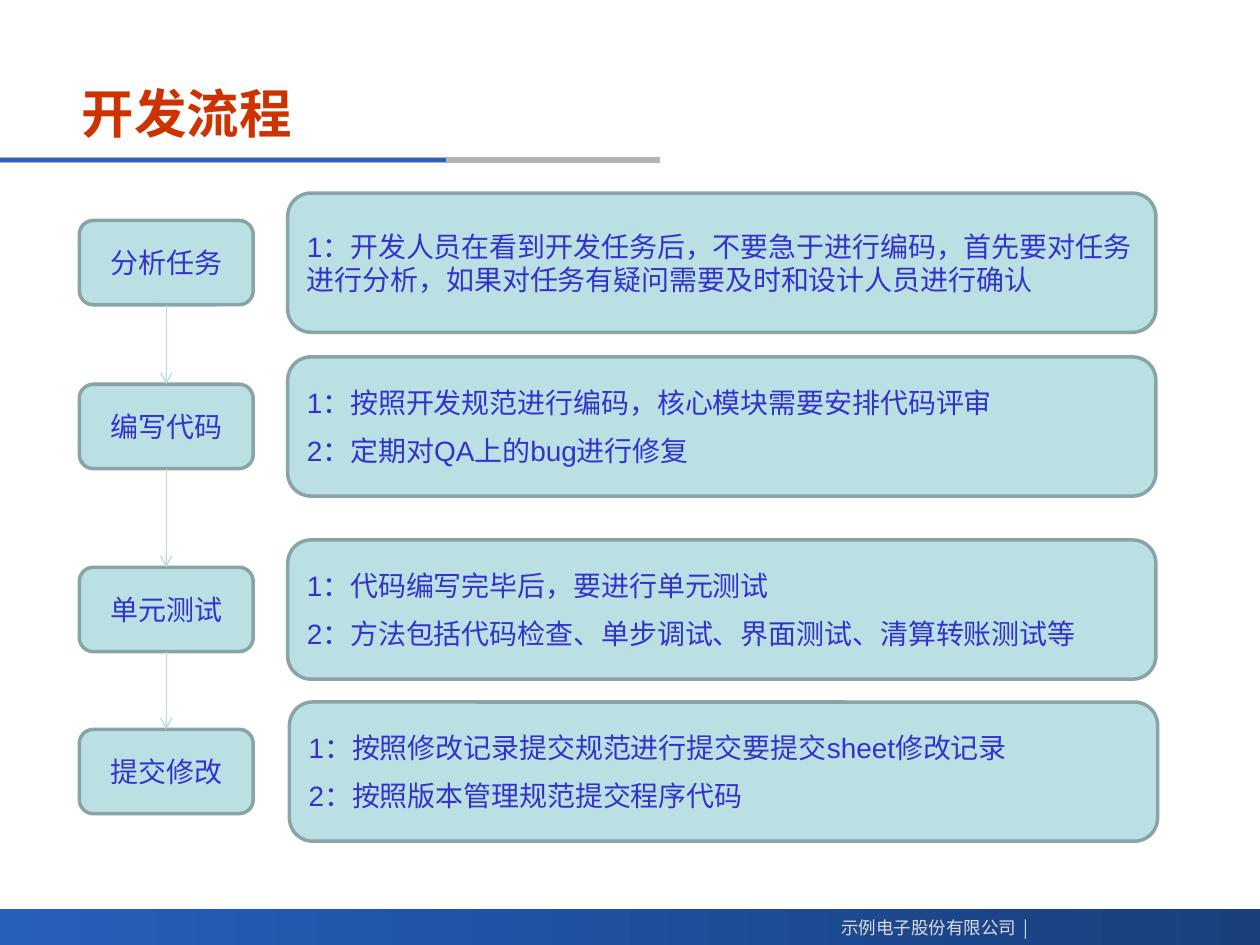
from pptx import Presentation
from pptx.dml.color import RGBColor as RGB
from pptx.enum.shapes import MSO_CONNECTOR as Connector, MSO_SHAPE as Shape
from pptx.enum.text import MSO_ANCHOR as Anchor, PP_ALIGN as Align
from pptx.oxml.ns import qn
from pptx.util import Pt
from lxml.etree import SubElement

THEME = {
    "title": RGB.from_string("CC3300"), "text": RGB.from_string("3333CC"),
    "box": RGB.from_string("BBE0E3"), "border": RGB.from_string("89A4A7"),
    "arrow": RGB.from_string("B6DCDF"), "rule_gray": RGB.from_string("B2B2B2"),
    "rule_blue": RGB.from_string("2A60C0"), "footer_text": RGB.from_string("DDDDDD"),
    "footer_bar": (RGB.from_string("265FBC"), RGB.from_string("193F7D")),
    "title_size": 30, "text_size": 16, "footer_size": 10,
    "font": "Arial", "chinese_font": "Noto Sans CJK SC",
}


def write_text(shape, lines, size, color, align=Align.LEFT, gap=0, bold=False,
               font=THEME["font"], wrap=True):
    """Fill a shape with one formatted paragraph per line."""
    frame = shape.text_frame
    frame.text = "\n".join(lines)
    frame_format = {"word_wrap": wrap, "vertical_anchor": Anchor.MIDDLE,
                    "margin_left": Pt(7.2), "margin_right": Pt(7.2),
                    "margin_top": Pt(3.6), "margin_bottom": Pt(3.6)}
    for name, value in frame_format.items():
        setattr(frame, name, value)
    for paragraph in frame.paragraphs:
        paragraph_format = {"alignment": align, "space_before": Pt(gap), "space_after": Pt(gap)}
        for name, value in paragraph_format.items():
            setattr(paragraph, name, value)
        for run in paragraph.runs:
            for name, value in {"size": Pt(size), "bold": bold, "name": font}.items():
                setattr(run.font, name, value)
            run.font.color.rgb = color
            east_asian = SubElement(run.font._element, qn("a:ea"))
            east_asian.set("typeface", THEME["chinese_font"])


def add_line(start, end, color, width, arrow=False):
    """Draw a straight line between two points, with an optional arrowhead."""
    line = slide.shapes.add_connector(Connector.STRAIGHT, *map(Pt, start + end))
    line.line.color.rgb = color
    line.line.width = Pt(width)
    if arrow:
        SubElement(line.line._get_or_add_ln(), qn("a:tailEnd")).set("type", "arrow")
    SubElement(line._element.spPr, qn("a:effectLst"))


presentation = Presentation()
presentation.slide_width, presentation.slide_height = Pt(720), Pt(540)
slide = presentation.slides.add_slide(presentation.slide_layouts[5])

# Title and the two-tone rule below it
title = slide.shapes.title
title.left, title.top, title.width, title.height = map(Pt, (39.6, 40.3, 498.2, 48.2))
write_text(title, ["开发流程"], THEME["title_size"], THEME["title"], bold=True)
add_line((0, 91.4), (377.3, 91.4), THEME["rule_gray"], 3)
add_line((0, 91.4), (254.9, 91.4), THEME["rule_blue"], 2.25)

# Footer bar
footer_bar = slide.shapes.add_shape(Shape.RECTANGLE, *map(Pt, (0, 519.6, 720, 20.4)))
footer_bar.shadow.inherit = False
footer_bar.line.fill.background()
footer_bar.fill.gradient()
footer_bar.fill.gradient_angle = 0
for stop, color, position in zip(footer_bar.fill.gradient_stops, THEME["footer_bar"], (0, 1)):
    stop.color.rgb = color
    stop.position = position
footer = slide.shapes.add_textbox(*map(Pt, (468.7, 520.6, 126, 19.4)))
write_text(footer, ["示例电子股份有限公司  |"], THEME["footer_size"], THEME["footer_text"],
           align=Align.RIGHT, font=THEME["chinese_font"], wrap=False)

# Process steps: name, details, left edge of the details, centre line
STEP_LEFT, STEP_WIDTH, STEP_HEIGHT = 45.3, 99.4, 48.2
DETAIL_WIDTH, DETAIL_HEIGHT = 496.1, 79.5
steps = [
    ("分析任务", ["1：开发人员在看到开发任务后，不要急于进行编码，首先要对任务进行分析，"
              "如果对任务有疑问需要及时和设计人员进行确认"], 164.4, 150.1),
    ("编写代码", ["1：按照开发规范进行编码，核心模块需要安排代码评审",
              "2：定期对QA上的bug进行修复"], 164.4, 243.7),
    ("单元测试", ["1：代码编写完毕后，要进行单元测试",
              "2：方法包括代码检查、单步调试、界面测试、清算转账测试等"], 164.4, 348.3),
    ("提交修改", ["1：按照修改记录提交规范进行提交要提交sheet修改记录",
              "2：按照版本管理规范提交程序代码"], 165.4, 440.9),
]
for name, details, detail_left, middle in steps:
    boxes = [
        ([name], STEP_LEFT, STEP_WIDTH, STEP_HEIGHT, Align.CENTER),
        (details, detail_left, DETAIL_WIDTH, DETAIL_HEIGHT, Align.LEFT),
    ]
    for lines, left, width, height, align in boxes:
        box = slide.shapes.add_shape(Shape.ROUNDED_RECTANGLE,
                                     *map(Pt, (left, middle - height / 2, width, height)))
        box.shadow.inherit = False
        box.fill.solid()
        box.fill.fore_color.rgb = THEME["box"]
        box.line.color.rgb = THEME["border"]
        box.line.width = Pt(2)
        write_text(box, lines, THEME["text_size"], THEME["text"], align=align, gap=4)

# Arrows from each step to the next
step_center = STEP_LEFT + STEP_WIDTH / 2
for (*_, upper), (*_, lower) in zip(steps, steps[1:]):
    add_line((step_center, upper + STEP_HEIGHT / 2), (step_center, lower - STEP_HEIGHT / 2),
             THEME["arrow"], 0.75, arrow=True)

presentation.save("out.pptx")
